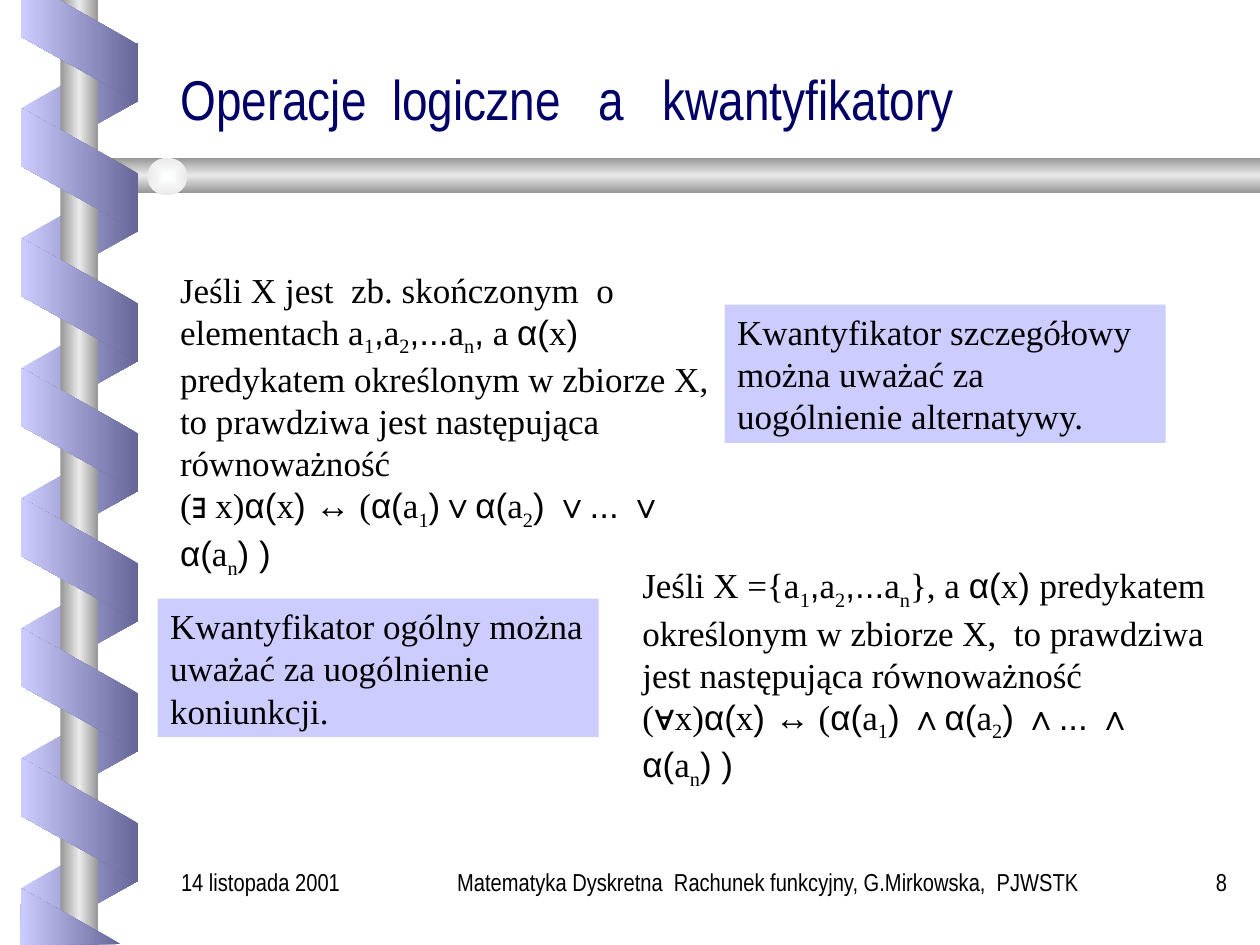
from lxml import etree
from pptx import Presentation
from pptx.dml.color import RGBColor
from pptx.enum.shapes import MSO_SHAPE as Shape
from pptx.enum.text import MSO_ANCHOR as Anchor, MSO_AUTO_SIZE as AutoSize, PP_ALIGN as Align
from pptx.oxml.ns import nsdecls, qn
from pptx.util import Cm, Pt

NAVY = RGBColor(0x00, 0x00, 0x66)
BLACK = RGBColor(0x00, 0x00, 0x00)
LILAC = RGBColor(0xCC, 0xCC, 0xFF)
VIOLET = RGBColor(0x66, 0x66, 0x99)
STEEL = RGBColor(0x96, 0x96, 0x96)
SILVER = RGBColor(0xEA, 0xEA, 0xEA)
PEARL = RGBColor(0xFE, 0xFF, 0xFF)
SERIF, SANS, NARROW = "Times New Roman", "Arial", "Arial Narrow"
SUB = "subscript"


def paint_gradient(shape, colours, angle=None):
    """Fill with evenly spaced colours; without an angle, from the centre out."""
    shape.shadow.inherit = False
    shape.line.fill.background()
    shape.fill.background()
    stops = "".join(
        f'<a:gs pos="{100000 * i // (len(colours) - 1)}"><a:srgbClr val="{colour}"/></a:gs>'
        for i, colour in enumerate(colours))
    if angle is None:
        course = '<a:path path="rect"><a:fillToRect l="50000" t="50000" r="50000" b="50000"/></a:path>'
    else:
        course = f'<a:lin ang="{angle * 60000}" scaled="0"/>'
    gradient = etree.fromstring(
        f'<a:gradFill {nsdecls("a")} rotWithShape="0"><a:gsLst>{stops}</a:gsLst>{course}</a:gradFill>')
    properties = shape.fill._xPr
    properties.replace(properties.find(qn("a:noFill")), gradient)


def write_runs(shape, runs, size, align=Align.LEFT, auto_size=AutoSize.NONE):
    """Write (text, font) runs in one paragraph; a newline is a line break."""
    frame = shape.text_frame
    frame.word_wrap = True
    frame.auto_size = auto_size
    frame.vertical_anchor = Anchor.TOP
    paragraph = frame.paragraphs[0]
    paragraph.alignment = align
    for text, font in runs:
        if text == "\n":
            paragraph.add_line_break()
            continue
        run = paragraph.add_run()
        run.text = text
        run.font.size = Pt(size)
        run.font.color.rgb = BLACK
        run.font.name = SERIF if font == SUB else font
        if font == SUB:
            run.font._element.set("baseline", "-25000")


prs = Presentation()
prs.slide_width, prs.slide_height = Cm(25.4), Cm(19.05)
slide = prs.slides.add_slide(prs.slide_layouts[5])
shapes = slide.shapes

# Ribbon behind the post
RIBBON_STEP = 2.62
for turn in range(7):
    back = shapes.add_shape(Shape.PARALLELOGRAM, Cm(0.36), Cm(0.93 + turn * RIBBON_STEP), Cm(2.49), Cm(2.36))
    back.adjustments[0] = 0.56
    back.rotation = 90
    back._element.spPr.xfrm.set("flipH", "1")
    paint_gradient(back, [LILAC, VIOLET], 180)

# Post, crossbar and knob
post = shapes.add_shape(Shape.RECTANGLE, Cm(1.22), Cm(0), Cm(0.76), Cm(19.05))
paint_gradient(post, [STEEL, SILVER, STEEL], 180)

outline = shapes.build_freeform(Cm(25.4), Cm(3.18))
outline.add_line_segments([(Cm(x), Cm(y)) for x, y in
                           [(1.93, 3.18), (1.52, 3.53), (1.93, 3.89), (25.4, 3.89)]])
paint_gradient(outline.convert_to_shape(), [STEEL, SILVER, STEEL], 90)

knob = shapes.add_shape(Shape.OVAL, Cm(2.97), Cm(3.18), Cm(0.81), Cm(0.76))
paint_gradient(knob, [PEARL, SILVER])

# Ribbon in front of the post, with its cut ends
for turn in range(6):
    front = shapes.add_shape(Shape.PARALLELOGRAM, Cm(0.36), Cm(2.24 + turn * RIBBON_STEP), Cm(2.49), Cm(2.36))
    front.adjustments[0] = 0.56
    front.rotation = 270
    paint_gradient(front, [VIOLET, LILAC], 180)

for start, *corners in [
    [(0.43, 0), (0.43, 0.74), (2.77, 2.06), (2.77, 0.89), (1.19, 0)],
    [(2.43, 19.03), (0.43, 17.91), (0.41, 19.05)],
]:
    outline = shapes.build_freeform(Cm(start[0]), Cm(start[1]))
    outline.add_line_segments([(Cm(x), Cm(y)) for x, y in corners])
    paint_gradient(outline.convert_to_shape(), [VIOLET, LILAC], 180)

# Title
title = shapes.title
title.left, title.top, title.width, title.height = Cm(3.38), Cm(1.17), Cm(21.59), Cm(1.6)
title.text_frame.auto_size = AutoSize.NONE
title.text_frame.word_wrap = True
title.text_frame.vertical_anchor = Anchor.BOTTOM
heading = title.text_frame.paragraphs[0]
heading.alignment = Align.LEFT
heading.line_spacing = 0.8
heading_run = heading.add_run()
heading_run.text = "Operacje  logiczne   a   kwantyfikatory"
heading_run.font.size = Pt(32)
heading_run.font.name = NARROW
heading_run.font.color.rgb = NAVY

# Highlighted conclusions
for left, top, conclusion in [
    (3.18, 12.07, "Kwantyfikator ogólny można uważać za uogólnienie koniunkcji."),
    (14.61, 6.14, "Kwantyfikator szczegółowy można uważać za uogólnienie alternatywy."),
]:
    note = shapes.add_shape(Shape.RECTANGLE, Cm(left), Cm(top), Cm(8.89), Cm(2.79))
    note.shadow.inherit = False
    note.fill.solid()
    note.fill.fore_color.rgb = LILAC
    note.line.fill.background()
    write_runs(note, [(conclusion, SERIF)], 20, auto_size=AutoSize.SHAPE_TO_FIT_TEXT)

# Equivalences for both quantifiers
elements = [("a", SERIF), ("1", SUB), (",", SANS), ("a", SERIF), ("2", SUB),
            (",...", SANS), ("a", SERIF), ("n", SUB)]
predicate = [
    ("α(", SANS), ("x", SERIF), (") ", SANS),
    ("predykatem określonym w zbiorze X,  to prawdziwa jest następująca równoważność ", SERIF),
    ("\n", SERIF), ("(", SERIF)]
for box, opening, closing, quantifier, variable, first_join, join in [
    ((12.7, 11.23, 11.86, 5.56), "Jeśli X ={a", [("}, a ", SERIF)], "∀", "x)", ") ∧α(", "∧"),
    ((3.38, 5.28, 11.63, 6.43), "Jeśli X jest  zb. skończonym  o elementach a",
     [(",", SANS), (" a ", SERIF)], "∃", " x)", ")∨α(", "∨"),
]:
    equivalence = [
        (quantifier, SANS), (variable, SERIF), ("α(", SANS), ("x", SERIF), (") ↔", SANS),
        (" (", SERIF), ("α(", SANS), ("a", SERIF), ("1", SUB), (first_join, SANS),
        ("a", SERIF), ("2", SUB), (f") {join}... {join} α(", SANS),
        ("a", SERIF), ("n", SUB), (") )", SANS)]
    statement = shapes.add_textbox(*map(Cm, box))
    write_runs(statement, [(opening, SERIF)] + elements[1:] + closing + predicate + equivalence,
               20, auto_size=AutoSize.SHAPE_TO_FIT_TEXT)

# Footer
for left, width, align, text in [
    (8.46, 14.17, Align.CENTER, "Matematyka Dyskretna  Rachunek funkcyjny, G.Mirkowska,  PJWSTK "),
    (22.86, 2.13, Align.RIGHT, "8"),
    (3.4, 4.85, Align.LEFT, "14 listopada 2001"),
]:
    footer = shapes.add_textbox(Cm(left), Cm(17.35), Cm(width), Cm(1.27))
    write_runs(footer, [(text, NARROW)], 14, align)

prs.save("out.pptx")
